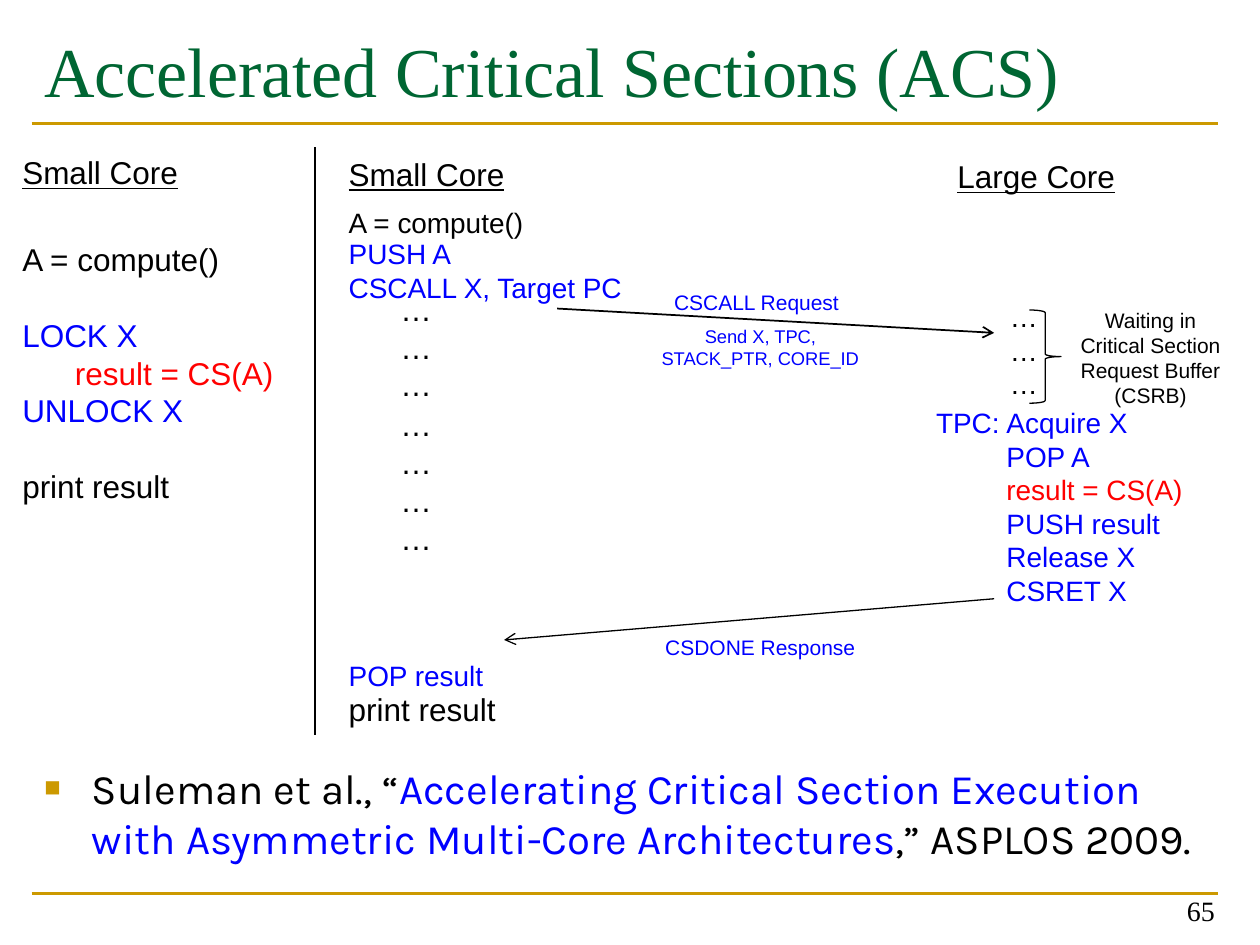
"""Build the slide on Accelerated Critical Sections."""
from dataclasses import dataclass

from lxml import etree
from pptx import Presentation, util as u
from pptx.dml.color import RGBColor
from pptx.enum import shapes as sh, text as tx
from pptx.oxml import ns

INK = {"black": "000000", "blue": "0000FF", "red": "FF0000",
       "green": "006633", "gold": "CC9900"}
LEFT, MID, RIGHT = tx.PP_ALIGN.LEFT, tx.PP_ALIGN.CENTER, tx.PP_ALIGN.RIGHT


@dataclass
class Run:
    words: str
    hue: str = "black"
    under: bool = False


@dataclass
class Para:
    runs: list[Run]
    gap: float = 0
    inset: float = 0


@dataclass
class Box:
    place: tuple[float, float, float, float]
    paras: list[Para]
    size: float
    align: tx.PP_ALIGN = LEFT
    font: str = "Arial"
    wrap: bool = True
    low: bool = False


@dataclass
class Line:
    start: tuple[float, float]
    end: tuple[float, float]
    width: float = 0.75
    hue: str = "black"
    arrow: bool = False


def tint(hue: str) -> RGBColor:
    """Return the named colour."""
    return RGBColor.from_string(INK[hue])


def rows(hue: str, *words: str) -> list[Para]:
    """Return one paragraph of one colour for each string."""
    return [Para([Run(word, hue)]) for word in words]


def add_sub(node, tag: str, **attrs: str):
    """Append a DrawingML child element."""
    return etree.SubElement(node, ns.qn(tag), **attrs)


def move(shape, place: tuple[float, float, float, float]) -> None:
    """Set position and size in centimetres."""
    shape.left, shape.top, shape.width, shape.height = map(u.Cm, place)


def fill_text(frame, box: Box) -> None:
    """Write the paragraphs of a box into a text frame."""
    frame.auto_size = tx.MSO_AUTO_SIZE.NONE
    frame.word_wrap = box.wrap
    frame.vertical_anchor = tx.MSO_ANCHOR.BOTTOM if box.low else tx.MSO_ANCHOR.TOP
    for i, item in enumerate(box.paras):
        para = frame.paragraphs[0] if i == 0 else frame.add_paragraph()
        para.alignment = box.align
        para.space_before = u.Pt(item.gap)
        para.line_spacing = u.Pt(round(box.size * 1.2, 2))
        if item.inset:
            para._p.get_or_add_pPr().set("marL", str(u.Cm(item.inset)))
        for part in item.runs:
            run = para.add_run()
            run.text = part.words
            run.font.name = box.font
            run.font.size = u.Pt(box.size)
            run.font.color.rgb = tint(part.hue)
            if part.under:
                run.font.underline = True


def draw_box(slide, box: Box) -> None:
    """Add a text box."""
    shape = slide.shapes.add_textbox(*map(u.Cm, box.place))
    fill_text(shape.text_frame, box)


def draw_line(slide, line: Line) -> None:
    """Add a straight line, with an arrowhead if asked."""
    ends = map(u.Cm, (*line.start, *line.end))
    shape = slide.shapes.add_connector(sh.MSO_CONNECTOR.STRAIGHT, *ends)
    shape.line.color.rgb = tint(line.hue)
    shape.line.width = u.Pt(line.width)
    if line.arrow:
        add_sub(shape.line._get_or_add_ln(), "a:tailEnd", type="arrow")
    add_sub(shape._element.spPr, "a:effectLst")


def draw_brace(slide) -> None:
    """Add the brace beside the waiting requests."""
    place = map(u.Cm, (20.75, 6.25, 0.64, 1.88))
    brace = slide.shapes.add_shape(sh.MSO_SHAPE.RIGHT_BRACE, *place)
    brace.shadow.inherit = False
    brace.fill.background()
    brace.line.color.rgb = tint("black")
    brace.line.width = u.Pt(0.75)


def draw_head(slide) -> None:
    """Fill the title placeholder."""
    box = Box((0.64, 0.43, 23.93, 2.97),
              rows("green", "Accelerated Critical Sections (ACS)"),
              40, font="Times New Roman")
    head = slide.shapes.title
    move(head, box.place)
    fill_text(head.text_frame, box)


def draw_cite(slide) -> None:
    """Fill the body placeholder with the bulleted citation."""
    paper = ("Accelerating Critical Section Execution "
             "with Asymmetric Multi-Core Architectures")
    runs = [Run("Suleman et al., “"), Run(paper, "blue"), Run(",” ASPLOS 2009.")]
    box = Box((0.64, 15.24, 23.93, 2.54), [Para(runs)], 24, font="Karla")
    body = slide.placeholders[1]
    move(body, box.place)
    props = body.text_frame.paragraphs[0]._p.get_or_add_pPr()
    props.set("marL", str(u.Cm(0.96)))
    props.set("indent", str(u.Cm(-0.96)))
    add_sub(add_sub(props, "a:buClr"), "a:srgbClr", val=INK["gold"])
    add_sub(props, "a:buSzPct", val="65000")
    add_sub(props, "a:buFont", typeface="Arial")
    add_sub(props, "a:buChar", char="■")
    fill_text(body.text_frame, box)


HEADS = [(0.2, 2.97, "Small Core"), (6.78, 3.0, "Small Core"),
         (19.05, 3.05, "Large Core")]

LOCKED = [
    Para([Run("A = compute()")]),
    Para([Run("LOCK X", "blue")], gap=21.6),
    Para([Run("result = CS(A)", "red")], inset=1.06),
    Para([Run("UNLOCK X", "blue")]),
    Para([Run("print result")], gap=21.6),
]

REMOTE = (rows("blue", "Acquire X", "POP A") + rows("red", "result = CS(A)")
          + rows("blue", "PUSH result", "Release X", "CSRET X"))

BOXES = [Box((x, y, 4.45, 1.02), [Para([Run(name, under=True)])], 18)
         for x, y, name in HEADS] + [
    Box((0.2, 4.72, 5.72, 5.64), LOCKED, 18),
    Box((6.78, 4.01, 5.72, 0.94), rows("black", "A = compute()"), 16),
    Box((6.78, 4.65, 6.2, 1.63), rows("blue", "PUSH A", "CSCALL X, Target PC"), 16),
    Box((7.82, 5.72, 0.64, 2.57), rows("black", *"…" * 3), 18),
    Box((7.82, 8.05, 0.64, 3.33), rows("black", *"…" * 4), 18),
    Box((6.78, 13.16, 3.38, 0.94), rows("blue", "POP result"), 16),
    Box((6.78, 13.79, 3.48, 1.02), rows("black", "print result"), 18, wrap=False),
    Box((13.34, 5.72, 3.91, 0.76), rows("blue", "CSCALL Request"), 12),
    Box((12.98, 6.43, 4.7, 1.09),
        rows("blue", "Send X, TPC, STACK_PTR, CORE_ID"), 10.5, MID),
    Box((13.16, 12.67, 4.83, 0.76), rows("blue", "CSDONE Response"), 12),
    Box((18.62, 8.05, 2.03, 0.94), rows("blue", "TPC:"), 16),
    Box((20.04, 8.05, 4.88, 4.32), REMOTE, 16),
    Box((17.78, 5.92, 5.72, 2.31), rows("black", *"…" * 3), 16, MID),
    Box((21.39, 6.07, 3.61, 2.31),
        rows("black", "Waiting in Critical Section Request Buffer (CSRB)"), 12, MID),
    Box((18.82, 17.55, 5.92, 1.27), rows("black", "65"), 16, RIGHT,
        "Times New Roman", low=True),
]

LINES = [Line((0.64, y), (24.56, y), 1.5, "gold") for y in (2.49, 18.01)] + [
    Line((6.35, top), (6.35, end))
    for top, end in ((2.97, 10.36), (8.43, 11.48), (11.07, 14.81))] + [
    Line((11.23, 6.22), (20.04, 6.71), 1, arrow=True),
    Line((20.04, 12.07), (10.16, 12.9), arrow=True),
]


def main() -> None:
    """Build and save the slide."""
    deck = Presentation()
    deck.slide_width, deck.slide_height = u.Cm(25.4), u.Cm(19.05)
    slide = deck.slides.add_slide(deck.slide_layouts[1])
    draw_head(slide)
    draw_cite(slide)
    for line in LINES:
        draw_line(slide, line)
    for box in BOXES:
        draw_box(slide, box)
    draw_brace(slide)
    deck.save("out.pptx")


if __name__ == "__main__":
    main()
